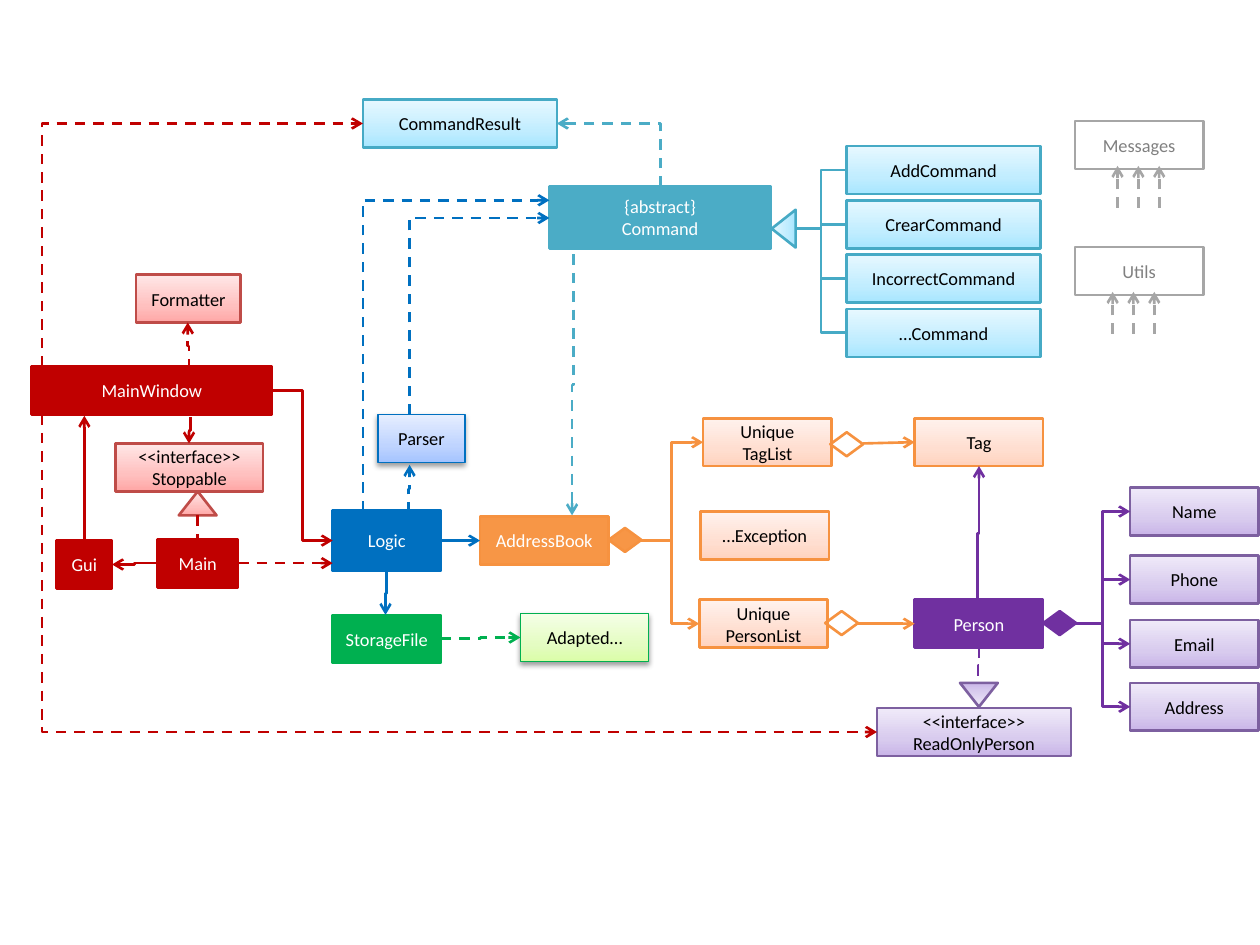
"""Build a class diagram of an address book application."""
from copy import deepcopy
from lxml.etree import SubElement
from pptx import Presentation
from pptx.dml.color import RGBColor
from pptx.enum.dml import MSO_LINE
from pptx.enum.shapes import MSO_CONNECTOR, MSO_SHAPE
from pptx.enum.text import MSO_ANCHOR, PP_ALIGN
from pptx.oxml.ns import qn
from pptx.util import Pt

WHITE, BLACK = RGBColor(255, 255, 255), RGBColor(0, 0, 0)
GREY, SILVER = RGBColor(0x80, 0x80, 0x80), RGBColor(0xA6, 0xA6, 0xA6)
RED, ROSE = RGBColor(0xC0, 0, 0), RGBColor(0xBF, 0x4C, 0x48)
BLUE, GREEN = RGBColor(0, 0x70, 0xC0), RGBColor(0, 0xB0, 0x50)
ORANGE, AMBER = RGBColor(0xF7, 0x96, 0x46), RGBColor(0xF6, 0x92, 0x40)
PURPLE, VIOLET = RGBColor(0x70, 0x30, 0xA0), RGBColor(0x7D, 0x60, 0xA0)
TEAL, AQUA = RGBColor(0x4B, 0xAC, 0xC6), RGBColor(0x46, 0xAA, 0xC5)


def tint(*codes):
    return [RGBColor.from_string(code) for code in codes]


STYLES = {
    "red": (RED, RED, WHITE),
    "blue": (BLUE, BLUE, WHITE),
    "green": (GREEN, GREEN, WHITE),
    "orange": (ORANGE, AMBER, WHITE),
    "purple": (PURPLE, PURPLE, WHITE),
    "teal": (TEAL, TEAL, WHITE),
    "plain": (WHITE, SILVER, GREY),
    "hollow": (None, AMBER, BLACK),
    "pale red": (tint("FFA6A5", "FFC0BF", "FFE7E7"), ROSE, BLACK),
    "pale blue": (tint("A4C4FF", "BFD4FF", "E6EEFF"), BLUE, BLACK),
    "pale green": (tint("DAFDA7", "E4FCC2", "F5FFE7"), GREEN, BLACK),
    "pale orange": (tint("FFD2BD", "FFDED0", "FFF2ED"), AMBER, BLACK),
    "pale purple": (tint("C9B5E8", "D8CBEE", "F0EAF9"), VIOLET, BLACK),
    "pale teal": (tint("A7E6FF", "C1EDFF", "E7F8FF"), AQUA, BLACK),
}
RAISED = ("pale blue", "pale green")
ROW, MEDIUM, WIDE = 27.4, 73.4, 110.9

COMMANDS = ["AddCommand", "CrearCommand", "IncorrectCommand", "…Command"]
COMMAND_TOPS = [83.5 + 31 * i for i in range(len(COMMANDS))]
FIELDS = {"Name": 278.6, "Phone": 317.5, "Email": 354.2, "Address": 390.2}

CLASSES = [
    ("Gui", "red", 32.4, 308.9, 31.7, ROW),
    ("Main", "red", 90, 308.2, 46.1, ROW),
    ("MainWindow", "red", 18, 209.5, 137.5, ROW),
    ("Formatter", "pale red", 77.8, 157, 59.8, ROW),
    ("<<interface>>\nStoppable", "pale red", 66.2, 253.4, 84.2, ROW),
    ("Logic", "blue", 190.1, 291.6, 61.9, 34.6),
    ("Parser", "pale blue", 216, 236.9, 49.7, ROW),
    ("StorageFile", "green", 190.1, 351.4, 61.9, ROW),
    ("Adapted…", "pale green", 297.4, 350.6, MEDIUM, ROW),
    ("AddressBook", "orange", 274.3, 295.2, MEDIUM, ROW),
    ("Unique\vTagList", "pale orange", 401.8, 239, MEDIUM, ROW),
    ("…Exception", "pale orange", 400.3, 292.3, MEDIUM, ROW),
    ("Unique\vPersonList", "pale orange", 399.6, 342.7, MEDIUM, ROW),
    ("Tag", "pale orange", 522.7, 239, MEDIUM, ROW),
    ("Person", "purple", 522.7, 342.7, MEDIUM, ROW),
    ("<<interface>>\nReadOnlyPerson", "pale purple", 501.1, 404.6, WIDE, ROW),
    ("{abstract}\vCommand", "teal", 313.9, 106.6, 126.7, 35.3),
    ("CommandResult", "pale teal", 207.4, 56.9, WIDE, ROW),
    ("Messages", "plain", 614.2, 69.1, MEDIUM, ROW),
    ("Utils", "plain", 614.2, 141.1, MEDIUM, ROW),
]
CLASSES += [(name, "pale teal", 483.8, top, WIDE, ROW) for name, top in zip(COMMANDS, COMMAND_TOPS)]
CLASSES += [(name, "pale purple", 645.8, top, MEDIUM, ROW) for name, top in FIELDS.items()]

DIAMONDS = [("purple", 596.2, 349.2), ("hollow", 474.5, 247), ("hollow", 471.6, 349.2), ("orange", 347.8, 301.7)]
TRIANGLES = [("pale purple", 548.6, 390.2, 180), ("pale teal", 437, 123.8, 270), ("pale red", 102.2, 280.8, 0)]

LINKS = [
    (RED, False, True, [
        ("across", 90, 321.8, 64.1, 322.6),
        ("straight", 48.2, 308.9, 48.2, 237.6),
        ("down", 108.7, 238.3, 108, 253.4),
        ("across", 155.5, 223.2, 190.1, 308.9)]),
    (RED, True, True, [
        ("corner", 24, 236.9, 501.1, 418.3),
        ("corner", 24, 209.5, 207.4, 70.6),
        ("down", 108, 211, 107.3, 184.3),
        ("straight", 136.1, 321.8, 190.1, 321.8)]),
    (RED, True, False, [("straight", 113, 294.5, 113, 308.2)]),
    (BLUE, False, True, [
        ("down", 221, 326.9, 220.3, 351.4),
        ("straight", 252, 308.9, 274.3, 308.9)]),
    (BLUE, True, True, [
        ("down", 233.3, 293, 234, 265.7),
        ("corner", 234, 236.9, 313.9, 124.6),
        ("corner", 207.4, 292.3, 313.9, 114.5)]),
    (GREEN, True, True, [("across", 252, 365, 297.4, 364.3)]),
    (AMBER, False, True, [
        ("across", 365.8, 308.9, 401.8, 252.7),
        ("across", 365.8, 308.9, 399.6, 356.4, 0.53),
        ("straight", 493.2, 253.4, 522.7, 252.7),
        ("straight", 490.3, 356.4, 522.7, 356.4)]),
    (PURPLE, False, True, [("down", 558.7, 343.4, 559.4, 266.4)]
     + [("across", 614.2, 356.4, 645.8, top + ROW / 2) for top in FIELDS.values()]),
    (PURPLE, True, False, [("down", 559.4, 370.1, 558.9, 390.2)]),
    (AQUA, False, False, [("across", 454.5, 130.5, 483.8, top + ROW / 2) for top in COMMAND_TOPS]),
    (TEAL, True, True, [
        ("down", 327.6, 145.4, 326.9, 294.5),
        ("corner", 377.3, 106.6, 318.2, 70.6)]),
    (SILVER, True, True, [
        ("straight", left + 11.9 * i, bottom, left + 11.9 * i, bottom - 24)
        for left, bottom in ((638.6, 118.8), (635.8, 190.8)) for i in range(3)]),
]

TEXT_FRAME = {"word_wrap": True, "vertical_anchor": MSO_ANCHOR.MIDDLE,
              "margin_left": 0, "margin_right": 0, "margin_top": 0, "margin_bottom": 0}
FONT = {"name": "Calibri", "size": Pt(10.5)}


def apply(target, values):
    for name, value in values.items():
        setattr(target, name, value)


def add_node(slide, kind, style, left, top, width, height):
    fill, line, _ = STYLES[style]
    node = slide.shapes.add_shape(kind, Pt(left), Pt(top), Pt(width), Pt(height))
    node.shadow.inherit = False
    properties = node._element.spPr
    if fill is None:
        node.fill.background()
    elif isinstance(fill, list):
        node.fill.gradient()
        node.fill.gradient_angle = 90
        first = properties.find(".//" + qn("a:gs"))
        first.addnext(deepcopy(first))
        for stop, color, position in zip(node.fill.gradient_stops, fill, (0, 0.35, 1)):
            stop.color.rgb = color
            stop.position = position
    else:
        node.fill.solid()
        node.fill.fore_color.rgb = fill
    node.line.color.rgb = line
    node.line.width = Pt(0.75 if style in RAISED else 1.5)
    if style in RAISED:
        shadow = SubElement(properties.find(qn("a:effectLst")), qn("a:outerShdw"),
                            blurRad=str(Pt(3.1)), dist=str(Pt(1.6)), dir="5400000", rotWithShape="0")
        color = SubElement(shadow, qn("a:srgbClr"), val=str(BLACK))
        SubElement(color, qn("a:alpha"), val="38000")
    return node


def add_class(slide, text, style, *box):
    frame = add_node(slide, MSO_SHAPE.RECTANGLE, style, *box).text_frame
    frame.text = text
    apply(frame, TEXT_FRAME)
    for paragraph in frame.paragraphs:
        paragraph.alignment = PP_ALIGN.CENTER
        for run in paragraph.runs:
            apply(run.font, FONT)
            run.font.color.rgb = STYLES[style][2]


def add_link(slide, color, dashed, arrow, route, x1, y1, x2, y2, bend=0.5):
    kind = MSO_CONNECTOR.STRAIGHT if route == "straight" else MSO_CONNECTOR.ELBOW
    turned = route in ("down", "corner")
    dx, dy = x2 - x1, y2 - y1
    if turned:
        mid_x, mid_y = (x1 + x2) / 2, (y1 + y2) / 2
        reach = abs(dy) / 2 if dx > 0 else -abs(dy) / 2
        rise = abs(dx) / 2 if dy < 0 else -abs(dx) / 2
        x1, y1, x2, y2 = mid_x + reach, mid_y + rise, mid_x - reach, mid_y - rise
    link = slide.shapes.add_connector(kind, Pt(x1), Pt(y1), Pt(x2), Pt(y2))
    properties = link._element.spPr
    geometry = properties.find(qn("a:prstGeom"))
    if turned:
        properties.find(qn("a:xfrm")).set("rot", "16200000" if dx * dy > 0 else "5400000")
    if route == "corner":
        geometry.set("prst", "bentConnector2")
    elif bend != 0.5:
        SubElement(geometry.find(qn("a:avLst")), qn("a:gd"), name="adj1", fmla=f"val {round(bend * 100000)}")
    link.line.color.rgb = color
    link.line.width = Pt(1.5)
    if dashed:
        link.line.dash_style = MSO_LINE.DASH
    if arrow:
        SubElement(properties.find(qn("a:ln")), qn("a:tailEnd"), type="arrow")
    SubElement(properties, qn("a:effectLst"))


deck = Presentation()
deck.slide_width, deck.slide_height = Pt(720), Pt(540)
diagram = deck.slides.add_slide(deck.slide_layouts[6])
for entry in CLASSES:
    add_class(diagram, *entry)
for style, left, top in DIAMONDS:
    add_node(diagram, MSO_SHAPE.FLOWCHART_DECISION, style, left, top, 18.7, 13.7)
for style, left, top, rotation in TRIANGLES:
    add_node(diagram, MSO_SHAPE.ISOSCELES_TRIANGLE, style, left, top, 21.6, 13.7).rotation = rotation
for color, dashed, arrow, links in LINKS:
    for link in links:
        add_link(diagram, color, dashed, arrow, *link)
deck.save("out.pptx")
